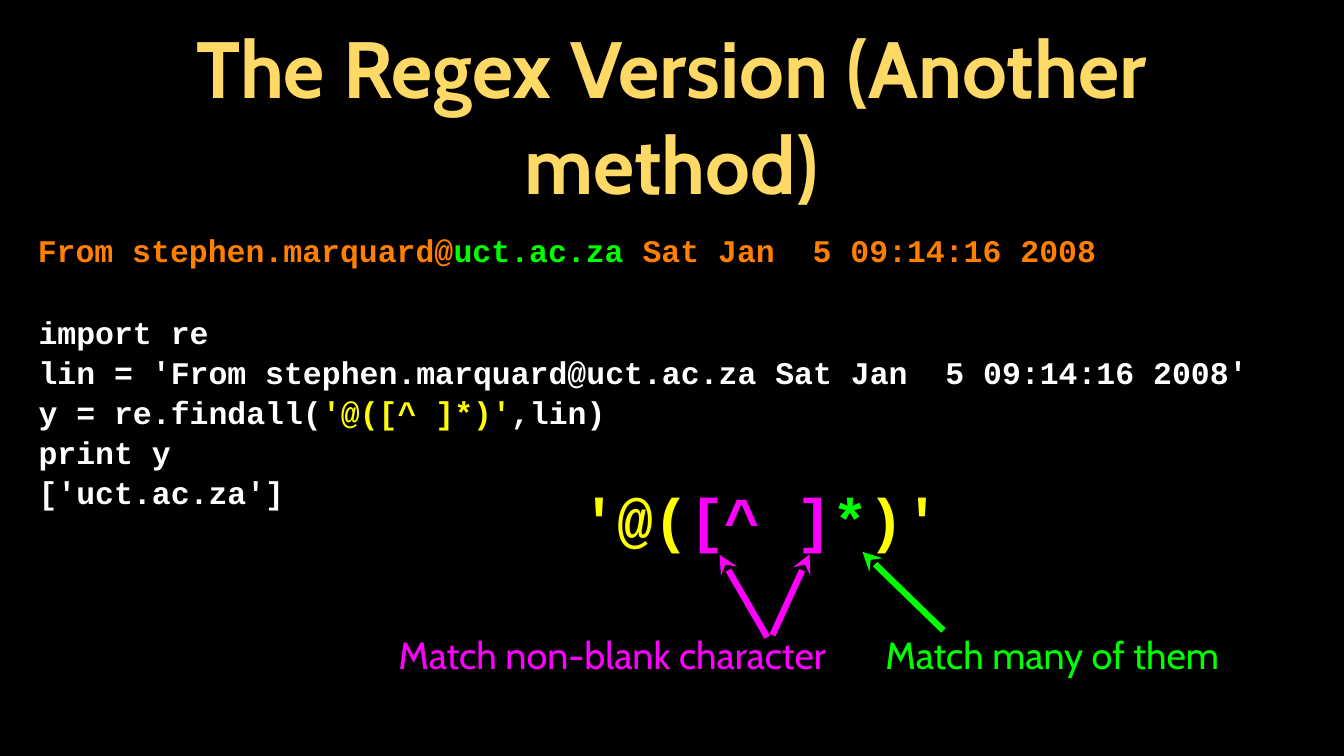
import pptx
import pptx.util
import pptx.dml.color
import pptx.enum.shapes
import pptx.enum.text
import lxml.etree
from pptx.util import Inches

HUES = {
    "black": "000000", "white": "FFFFFF", "gold": "FFD966", "yellow": "FFFF00",
    "pink": "FF00FF", "green": "00FF00", "orange": "FF7F00",
}
MONO, SANS = "Courier New", "Cabin"
ALIGN = pptx.enum.text.PP_ALIGN


def hue(name):
    return pptx.dml.color.RGBColor.from_string(HUES[name])


def write(shape, lines, box, size, font, bold=False, align=ALIGN.LEFT, inset=0, space=None):
    """Place a shape and fill it; each line is a list of (text, color) runs."""
    shape.left, shape.top, shape.width, shape.height = [Inches(n) for n in box]
    frame = shape.text_frame
    frame.word_wrap = True
    frame.auto_size = pptx.enum.text.MSO_AUTO_SIZE.NONE
    frame.vertical_anchor = pptx.enum.text.MSO_ANCHOR.MIDDLE
    frame.margin_left = frame.margin_right = Inches(inset)
    frame.margin_top = frame.margin_bottom = Inches(inset)
    for i, line in enumerate(lines):
        para = frame.add_paragraph() if i else frame.paragraphs[0]
        para.alignment = align
        if space:
            para.line_spacing = space
        for text, color in line:
            run = para.add_run()
            run.text = text
            run.font.size = pptx.util.Pt(size)
            run.font.name = font
            run.font.bold = bold
            run.font.color.rgb = hue(color)


# Slide
deck = pptx.Presentation()
deck.slide_width, deck.slide_height = Inches(17.78), Inches(10)
slide = deck.slides.add_slide(deck.slide_layouts[5])
slide.background.fill.solid()
slide.background.fill.fore_color.rgb = hue("black")

# Title
write(slide.shapes.title, [[("The Regex Version (Another method)", "gold")]],
      (1.26, 0.26, 15.24, 2.51), 76, SANS, bold=True, align=ALIGN.CENTER, inset=0.04)

# Mail line, code and enlarged pattern
mail = [[("From stephen.marquard@", "orange"), ("uct.ac.za", "green"),
         (" Sat Jan  5 09:14:16 2008", "orange")]]
code = [
    [("import re", "white")],
    [("lin = 'From stephen.marquard@uct.ac.za Sat Jan  5 09:14:16 2008'", "white")],
    [("y = re.findall(", "white"), ("'@([^ ]*)'", "yellow"), (",lin)", "white")],
    [("print y", "white")],
    [("['uct.ac.za']", "white")],
]
regex = [[("'@(", "yellow"), ("[^ ]", "pink"), ("*", "green"), (")'", "yellow")]]
for lines, box, size, space in [
    (mail, (0.5, 2.94, 16.93, 0.74), 30, None),
    (code, (0.51, 4.2, 17.24, 2.47), 30, 1.06),
    (regex, (7.69, 6.37, 4.8, 0.96), 57, None),
]:
    write(slide.shapes.add_textbox(0, 0, 0, 0), lines, box, size, MONO, bold=True, space=space)

# Captions
for text, color, left, width in [
    ("Match non-blank character", "pink", 4.75, 6.7),
    ("Match many of them", "green", 11.23, 5.38),
]:
    write(slide.shapes.add_textbox(0, 0, 0, 0), [[(text, color)]],
          (left, 8.31, width, 0.68), 36, SANS, align=ALIGN.CENTER)

# Arrows, with the head at the pattern end
for color, ends in [
    ("pink", (9.52, 7.34, 10.15, 8.43)),
    ("pink", (10.71, 7.33, 10.22, 8.4)),
    ("green", (11.41, 7.3, 12.48, 8.34)),
]:
    arrow = slide.shapes.add_connector(
        pptx.enum.shapes.MSO_CONNECTOR.STRAIGHT, *[Inches(n) for n in ends])
    arrow.line.color.rgb = hue(color)
    arrow.line.width = pptx.util.Pt(6)
    props = arrow.line._get_or_add_ln()
    lxml.etree.SubElement(props, pptx.oxml.ns.qn("a:round"))
    lxml.etree.SubElement(props, pptx.oxml.ns.qn("a:headEnd"), type="stealth")
    lxml.etree.SubElement(props.getparent(), pptx.oxml.ns.qn("a:effectLst"))

deck.save("out.pptx")
